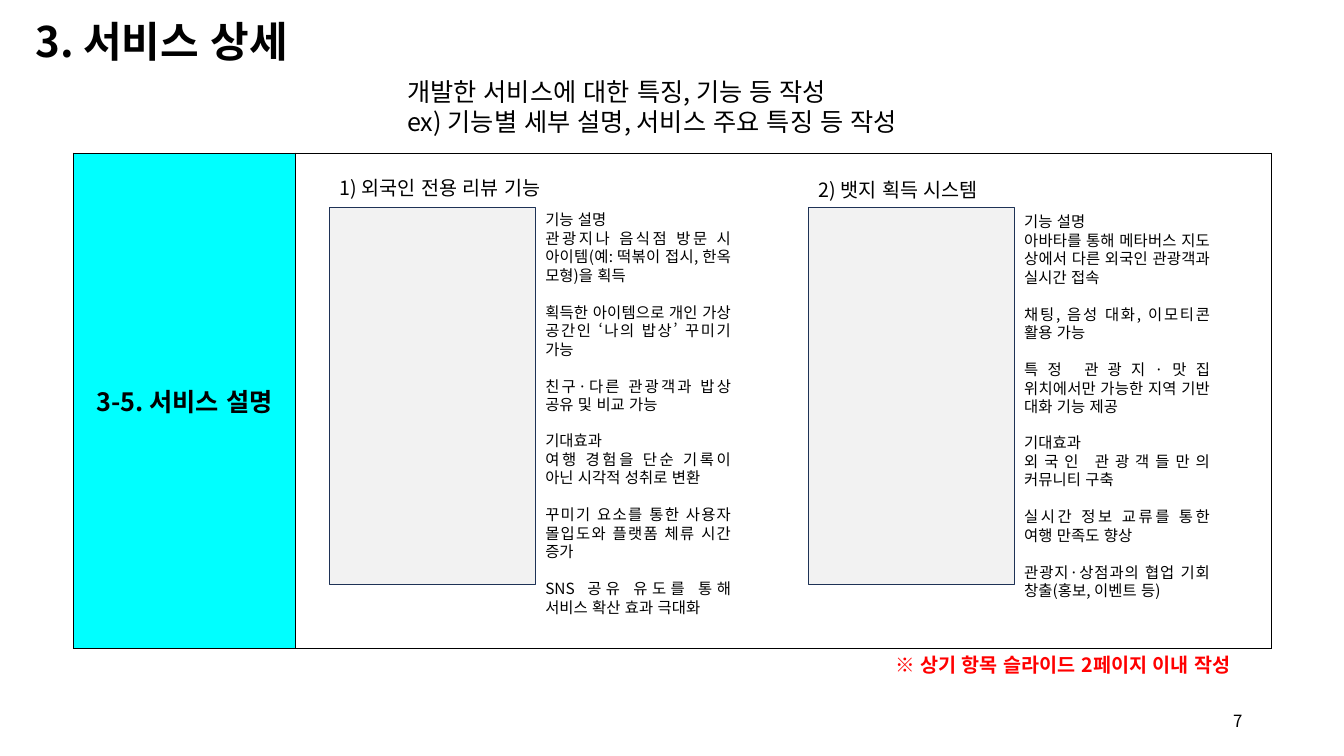
from lxml import etree
from pptx import Presentation
from pptx.dml.color import RGBColor
from pptx.enum.lang import MSO_LANGUAGE_ID as Language
from pptx.enum.shapes import MSO_SHAPE as Shape
from pptx.enum.text import MSO_ANCHOR as Anchor, PP_ALIGN as Align
from pptx.oxml.ns import qn
from pptx.util import Inches, Pt

# Content
TITLE = "3. 서비스 상세"
GUIDE = ["개발한 서비스에 대한 특징, 기능 등 작성",
         "ex) 기능별 세부 설명, 서비스 주요 특징 등 작성"]
ROW_LABEL = "3-5. 서비스 설명"
NOTE = "※ 상기 항목 슬라이드 2페이지 이내 작성"
PAGE_NUMBER = "7"
FEATURES = [
    {"heading": "1) 외국인 전용 리뷰 기능", "left": 3.27, "top": 1.70,
     "sections": [
         ["기능 설명",
          "관광지나 음식점 방문 시 아이템(예: 떡볶이 접시, 한옥 모형)을 획득",
          "획득한 아이템으로 개인 가상 공간인 ‘나의 밥상’ 꾸미기 가능",
          "친구·다른 관광객과 밥상 공유 및 비교 가능"],
         ["기대효과",
          "여행 경험을 단순 기록이 아닌 시각적 성취로 변환",
          "꾸미기 요소를 통한 사용자 몰입도와 플랫폼 체류 시간 증가",
          "SNS 공유 유도를 통해 서비스 확산 효과 극대화"]]},
    {"heading": "2) 뱃지 획득 시스템", "left": 8.02, "top": 1.72,
     "sections": [
         ["기능 설명",
          "아바타를 통해 메타버스 지도 상에서 다른 외국인 관광객과 실시간 접속",
          "채팅, 음성 대화, 이모티콘 활용 가능",
          "특정 관광지·맛집 위치에서만 가능한 지역 기반 대화 기능 제공"],
         ["기대효과",
          "외국인 관광객들만의 커뮤니티 구축",
          "실시간 정보 교류를 통한 여행 만족도 향상",
          "관광지·상점과의 협업 기회 창출(홍보, 이벤트 등)"]]},
]

COLORS = {"text": "000000", "label": "00FFFF", "note": "FF0000",
          "panel": "F2F2F2", "panel_line": "1E3256", "border": "000000"}
FONT = "Noto Sans CJK KR"
PANEL_TOP, PANEL_WIDTH, PANEL_HEIGHT = 2.06, 2.04, 3.74
SECTION_OFFSETS = (0.34, 2.53)
SECTION_HEIGHT = 1.77
ITEM_GAP = 13.2


def color(name):
    return RGBColor.from_string(COLORS[name])


def write(frame, lines, size, bold=False, ink="text", align=Align.JUSTIFY,
          anchor=Anchor.TOP, gap=0):
    """Fill a frame; gap goes before each line from the third on."""
    frame.word_wrap = True
    frame.vertical_anchor = anchor
    for index, line in enumerate(lines):
        paragraph = frame.paragraphs[0] if index == 0 else frame.add_paragraph()
        paragraph.alignment = align
        paragraph.space_before = Pt(gap if index > 1 else 0)
        run = paragraph.add_run()
        run.text = line
        font = run.font
        font.name, font.size, font.bold = FONT, Pt(size), bold
        font.color.rgb = color(ink)
        font.language_id = Language.KOREAN
        etree.SubElement(font._element, qn("a:ea"), typeface=FONT)


def add_text(left, top, width, height, lines, size, **style):
    box = slide.shapes.add_textbox(*map(Inches, (left, top, width, height)))
    write(box.text_frame, lines, size, **style)


def set_borders(cell):
    properties = cell._tc.get_or_add_tcPr()
    for index, side in enumerate(("a:lnL", "a:lnR", "a:lnT", "a:lnB")):
        line = etree.Element(qn(side), w=str(Pt(1)))
        fill = etree.SubElement(line, qn("a:solidFill"))
        etree.SubElement(fill, qn("a:srgbClr"), val=COLORS["border"])
        properties.insert(index, line)


presentation = Presentation()
presentation.slide_width, presentation.slide_height = Inches(13.33), Inches(7.5)
slide = presentation.slides.add_slide(presentation.slide_layouts[5])

# Title and page number
title = slide.shapes.title
title.left, title.top, title.width, title.height = map(Inches, (0.25, 0, 13.08, 0.88))
write(title.text_frame, [TITLE], 30, bold=True, align=Align.LEFT, anchor=Anchor.MIDDLE)
title.text_frame.paragraphs[0].line_spacing = 0.9
add_text(9.42, 6.95, 3, 0.4, [PAGE_NUMBER], 12, align=Align.RIGHT, anchor=Anchor.MIDDLE)

# Table frame
table = slide.shapes.add_table(1, 2, *map(Inches, (0.73, 1.52, 11.88, 4.91))).table
table.first_row = table.horz_banding = False
for column, width in zip(table.columns, (2.2, 9.68)):
    column.width = Inches(width)
label_cell, body_cell = table.rows[0].cells
label_cell.fill.solid()
label_cell.fill.fore_color.rgb = color("label")
body_cell.fill.background()
write(label_cell.text_frame, [ROW_LABEL], 18, bold=True, align=Align.CENTER)
label_cell.vertical_anchor = Anchor.MIDDLE
for cell in (label_cell, body_cell):
    set_borders(cell)

# Guidance and note
add_text(8.78, 6.43, 3.82, 0.34, [NOTE], 14, bold=True, ink="note")
add_text(3.94, 0.71, 6.67, 0.71, GUIDE, 18)

# Features: heading, panel and two sections of text
for feature in FEATURES:
    left, top = feature["left"], feature["top"]
    add_text(left, top, 3.94, 0.34, [feature["heading"]], 14)
    for offset, lines in zip(SECTION_OFFSETS, feature["sections"]):
        add_text(left + PANEL_WIDTH, top + offset, PANEL_WIDTH, SECTION_HEIGHT,
                 lines, 11, gap=ITEM_GAP)
    panel = slide.shapes.add_shape(
        Shape.RECTANGLE, *map(Inches, (left, PANEL_TOP, PANEL_WIDTH, PANEL_HEIGHT)))
    panel.shadow.inherit = False
    panel.fill.solid()
    panel.fill.fore_color.rgb = color("panel")
    panel.line.color.rgb = color("panel_line")
    panel.line.width = Pt(1)

presentation.save("out.pptx")
